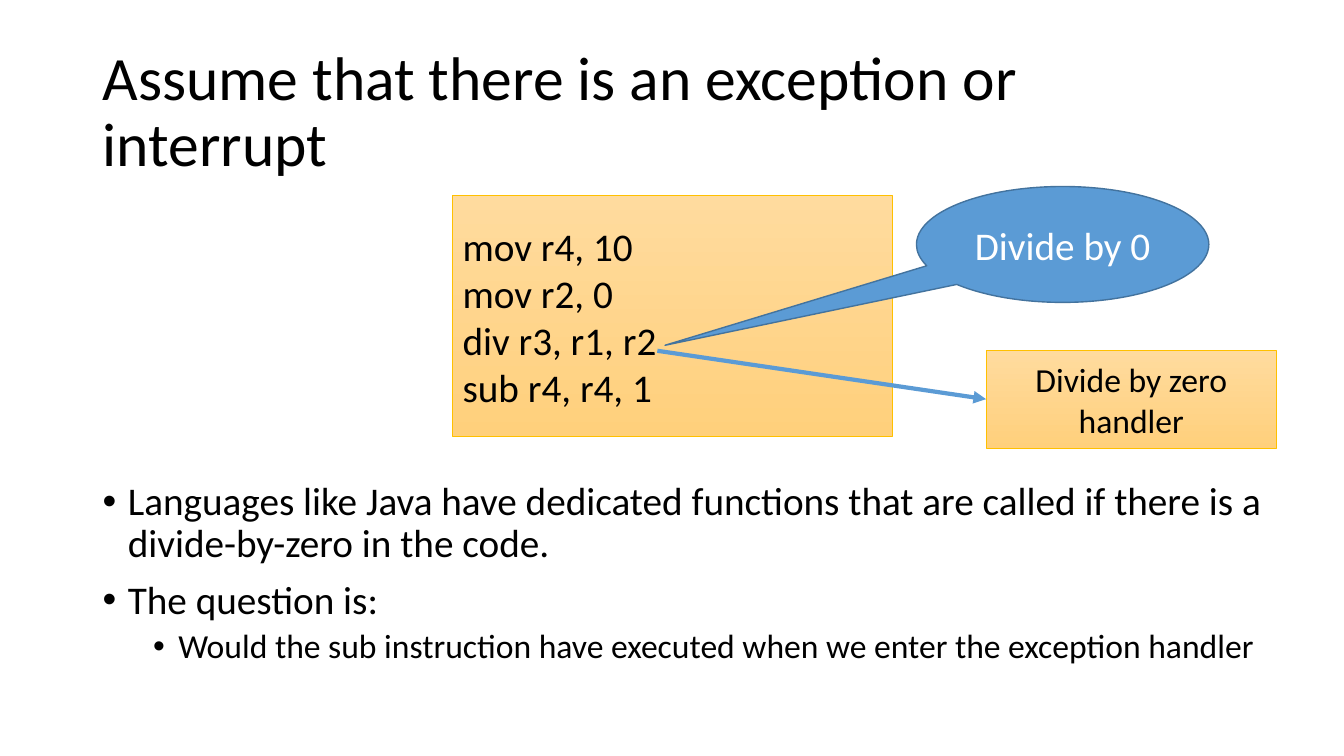
from lxml.etree import SubElement
from pptx import Presentation
from pptx.dml.color import RGBColor
from pptx.enum.shapes import MSO_CONNECTOR, MSO_SHAPE
from pptx.enum.text import MSO_ANCHOR as Anchor, PP_ALIGN as Align
from pptx.oxml.ns import qn
from pptx.util import Emu, Pt

EMU_PER_PX = 9144  # 100 px to the inch


def px(length):
    return Emu(length * EMU_PER_PX)


def color(hex_code):
    return RGBColor.from_string(hex_code)


class SlideBuilder:
    FONT = "Calibri"
    BLACK, WHITE = "000000", "FFFFFF"
    BLUE, DARK_BLUE = "5B9BD5", "43739E"
    GOLD, GOLD_GRADIENT = "FFC000", ("FFDB9E", "FFD07C")

    def __init__(self, slide):
        self.shapes = slide.shapes

    def style(self, para, size, font_color=BLACK):
        para.font.name = self.FONT
        para.font.size = Pt(size)
        para.font.color.rgb = color(font_color)

    def text_box(self, bounds, anchor):
        frame = self.shapes.add_textbox(*map(px, bounds)).text_frame
        frame.word_wrap = True
        frame.vertical_anchor = anchor
        return frame

    def title(self, text, bounds):
        para = self.text_box(bounds, Anchor.MIDDLE).paragraphs[0]
        para.text = text
        para.line_spacing = 0.9
        self.style(para, 44)

    def bullets(self, items, bounds):
        """Fill a box with (level, text) items."""
        frame = self.text_box(bounds, Anchor.TOP)
        for index, (level, text) in enumerate(items):
            para = frame.add_paragraph() if index else frame.paragraphs[0]
            para.text = text
            para.level = level
            para.line_spacing = 0.9
            if index:
                para.space_before = Pt(5 if level else 10)
            properties = para._p.get_or_add_pPr()
            properties.set("marL", str(px(25 + 50 * level)))
            properties.set("indent", str(px(-25)))
            SubElement(properties, qn("a:buFont")).set("typeface", "Arial")
            SubElement(properties, qn("a:buChar")).set("char", "•")
            self.style(para, 24 if level else 28)

    def shape(self, preset, bounds, lines, size, align, font_color=BLACK):
        shape = self.shapes.add_shape(preset, *map(px, bounds))
        shape.shadow.inherit = False
        frame = shape.text_frame
        frame.word_wrap = True
        frame.vertical_anchor = Anchor.MIDDLE
        frame.text = "\n".join(lines)
        for para in frame.paragraphs:
            para.alignment = align
            self.style(para, size, font_color)
        return shape

    def gold_box(self, bounds, lines, size, align):
        box = self.shape(MSO_SHAPE.RECTANGLE, bounds, lines, size, align)
        box.fill.gradient()
        box.fill.gradient_angle = 270
        for stop, shade in zip(box.fill.gradient_stops, self.GOLD_GRADIENT):
            stop.color.rgb = color(shade)
        box.line.color.rgb = color(self.GOLD)
        box.line.width = Pt(0.5)

    def callout(self, bounds, text, tip):
        """Draw an oval callout; tip is its offset from the centre in shape sizes."""
        callout = self.shape(MSO_SHAPE.OVAL_CALLOUT, bounds, [text], 28,
                             Align.CENTER, self.WHITE)
        callout.adjustments[0], callout.adjustments[1] = tip
        callout.fill.solid()
        callout.fill.fore_color.rgb = color(self.BLUE)
        callout.line.color.rgb = color(self.DARK_BLUE)
        callout.line.width = Pt(1)

    def arrow(self, start, end):
        arrow = self.shapes.add_connector(MSO_CONNECTOR.STRAIGHT,
                                          *map(px, start + end))
        arrow.line.color.rgb = color(self.BLUE)
        arrow.line.width = Pt(3)
        SubElement(arrow.line._get_or_add_ln(), qn("a:tailEnd")).set("type", "triangle")
        SubElement(arrow._element.spPr, qn("a:effectLst"))


def main():
    deck = Presentation()
    deck.slide_width, deck.slide_height = px(1333), px(750)
    page = SlideBuilder(deck.slides.add_slide(deck.slide_layouts[6]))

    page.title("Assume that there is an exception or interrupt", (92, 40, 1150, 145))
    page.bullets([
        (0, "Languages like Java have dedicated functions that are called "
            "if there is a divide-by-zero in the code."),
        (0, "The question is:"),
        (1, "Would the sub instruction have executed when we enter the exception handler"),
    ], (92, 473, 1214, 202))
    page.gold_box((449, 194, 436, 239),
                  ["mov r4, 10", "mov r2, 0", "div r3, r1, r2", "sub r4, r4, 1"],
                  28, Align.LEFT)
    page.callout((909, 185, 290, 115), "Divide by 0", (-1.36, 0.87))
    page.gold_box((978, 348, 288, 97), ["Divide by zero handler"], 24, Align.CENTER)
    page.arrow((652, 348), (978, 396))

    deck.save("out.pptx")


if __name__ == "__main__":
    main()
